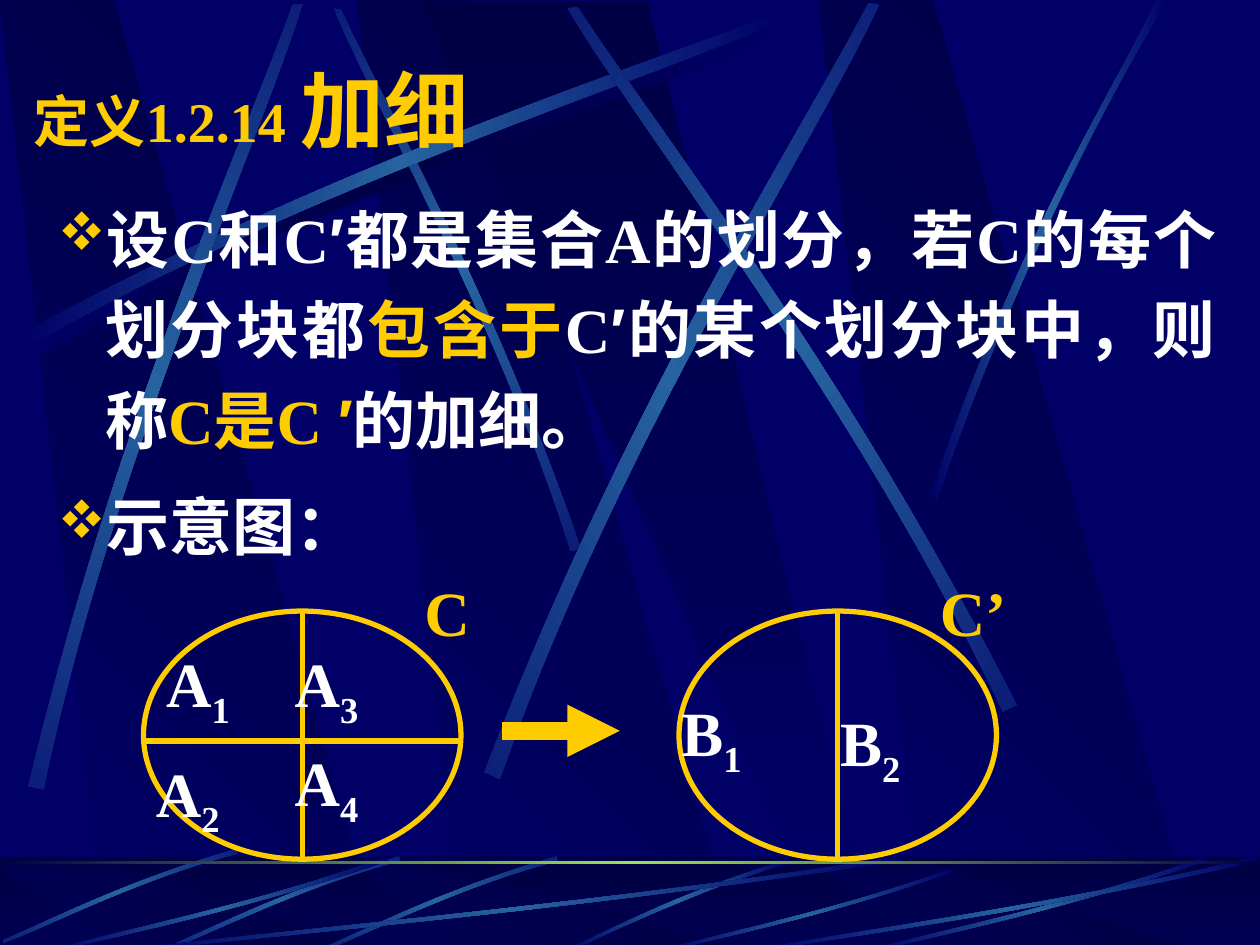
from pptx import Presentation
from pptx.dml.color import RGBColor as Rgb
from pptx.enum.shapes import MSO_CONNECTOR as Link, MSO_SHAPE as Preset
from pptx.enum.text import MSO_ANCHOR as Anchor, PP_ALIGN as Align
from pptx.oxml import parse_xml
from pptx.oxml.ns import nsdecls, qn
from pptx.util import Pt

COLORS = {"navy": "000066", "dark": "000044", "steel": "2663A0",
          "lime": "9CE157", "gold": "FFCC00", "white": "FFFFFF"}
SERIF, SANS = "Times New Roman", "Arial"

# Outlines as fractions of their box
BAND = [(0.28, 1), (1, 1), (0.3, 0), (0, 0)]
WEDGE = [(0, 0), (0.9, 1), (1, 1), (0.5, 0)]
# Each streak is two Bezier edges of four points
STREAK = [(0, 0.96), (0.43, 0.43), (0.83, 0.15), (0.99, 0),
          (1, 0.02), (0.84, 0.19), (0.39, 0.5), (0.01, 1)]
TALL_STREAK = [(0, 0.99), (0.4, 0.44), (0.79, 0.17), (0.95, 0),
               (1, 0), (0.52, 0.37), (0.16, 0.81), (0.03, 1)]
SHORT_STREAK = [(0.99, 0), (0.49, 0.37), (0.16, 0.82), (0, 0.99),
                (0.03, 1), (0.23, 0.75), (0.68, 0.25), (1, 0.04)]

GLOW = ("navy", "steel", "navy")
SHADE = ("navy", "dark", "navy")


class Painter:
    """Holds the style and the current slide."""

    def __init__(self, page):
        self.page = page
        self.shapes = page.shapes
        self.font = {"name": SERIF, "size": Pt(36), "bold": True}

    def color(self, name):
        return Rgb.from_string(COLORS[name])

    def gradient(self, shape, names, angle):
        shape.shadow.inherit = False
        shape.line.fill.background()
        last = len(names) - 1
        stops = "".join(
            f'<a:gs pos="{100000 * i // last}"><a:srgbClr val="{COLORS[name]}"/></a:gs>'
            for i, name in enumerate(names))
        fill = parse_xml(
            f'<a:gradFill {nsdecls("a")} rotWithShape="1"><a:gsLst>{stops}</a:gsLst>'
            f'<a:lin ang="{angle * 60000}" scaled="1"/></a:gradFill>')
        geometry = shape.element.spPr.find(qn("a:custGeom"))
        if geometry is None:
            geometry = shape.element.spPr.find(qn("a:prstGeom"))
        geometry.addnext(fill)

    def outline(self, points, box, names, angle):
        left, top, width, height = box
        spots = [(Pt(left + u * width), Pt(top + v * height)) for u, v in points]
        builder = self.shapes.build_freeform(*spots[0], scale=1.0)
        builder.add_line_segments(spots[1:], close=True)
        shape = builder.convert_to_shape()
        self.gradient(shape, names, angle)
        return shape

    def streak(self, box, points=STREAK, names=GLOW, turn=0, flip_x=False, flip_y=False):
        flipped = [(1 - u if flip_x else u, 1 - v if flip_y else v) for u, v in points]
        shape = self.outline(flipped, box, names, 0)
        shape.rotation = turn
        # Turn the three segments of each edge into one curve
        segments = list(shape.element.iter(qn("a:lnTo")))
        for edge in (segments[0:3], segments[4:7]):
            curve = parse_xml(f'<a:cubicBezTo {nsdecls("a")}/>')
            edge[0].addprevious(curve)
            for segment in edge:
                curve.append(segment[0])
                segment.getparent().remove(segment)

    def bands(self, top, height):
        for left in (204, 0, 468):
            self.outline(BAND, (left, top, 217.4, height), ("navy", "dark"), 315)
        self.outline(WEDGE, (240, top, 260, height), ("dark", "navy"), 90)

    def bar(self, box, names, angle):
        shape = self.shapes.add_shape(Preset.RECTANGLE, *map(Pt, box))
        self.gradient(shape, names, angle)

    def veil(self, box, name, alpha):
        shape = self.shapes.add_shape(Preset.RECTANGLE, *map(Pt, box))
        shape.shadow.inherit = False
        shape.line.fill.background()
        shape.fill.solid()
        shape.fill.fore_color.rgb = self.color(name)
        tint = shape.element.spPr.find(".//" + qn("a:srgbClr"))
        tint.append(parse_xml(f'<a:alpha {nsdecls("a")} val="{alpha * 1000}"/>'))

    def ellipse(self, box):
        shape = self.shapes.add_shape(Preset.OVAL, *map(Pt, box))
        shape.shadow.inherit = False
        shape.fill.background()
        shape.line.color.rgb = self.color("gold")
        shape.line.width = Pt(3)

    def line(self, ends, width=3, arrow=False):
        link = self.shapes.add_connector(Link.STRAIGHT, *map(Pt, ends))
        link.line.color.rgb = self.color("gold")
        link.line.width = Pt(width)
        if arrow:
            link.element.spPr.find(qn("a:ln")).append(
                parse_xml(f'<a:tailEnd {nsdecls("a")} type="triangle"/>'))
        link.element.spPr.append(parse_xml(f'<a:effectLst {nsdecls("a")}/>'))

    def text(self, box, paragraphs, para_format, anchor=Anchor.TOP, bullet=False):
        """Each paragraph is a list of (text, color, font changes)."""
        frame = self.shapes.add_textbox(*map(Pt, box)).text_frame
        frame.word_wrap = True
        frame.vertical_anchor = anchor
        for index, spans in enumerate(paragraphs):
            para = frame.add_paragraph() if index else frame.paragraphs[0]
            if bullet:
                self.bullet(para)
            for key, value in para_format.items():
                if index or key != "space_before":
                    setattr(para, key, value)
            for words, color, changes in spans:
                span = para.add_run()
                span.text = words
                span.font.color.rgb = self.color(color)
                for key, value in (self.font | changes).items():
                    if key == "baseline":
                        span.font._element.set(key, value)
                    else:
                        setattr(span.font, key, value)

    def bullet(self, para):
        props = para._p.get_or_add_pPr()
        for key, value in {"marL": Pt(35), "indent": -Pt(27), "hangingPunct": 0}.items():
            props.set(key, str(value))
        for tag in (f'<a:buClr {{}}><a:srgbClr val="{COLORS["gold"]}"/></a:buClr>',
                    '<a:buSzPct {} val="85000"/>',
                    '<a:buFont {} typeface="Wingdings" charset="2"/>',
                    '<a:buChar {} char="v"/>'):
            props.append(parse_xml(tag.format(nsdecls("a"))))


def main():
    deck = Presentation()
    deck.slide_width, deck.slide_height = Pt(720), Pt(540)
    page = deck.slides.add_slide(deck.slide_layouts[6])
    painter = Painter(page)
    page.background.fill.solid()
    page.background.fill.fore_color.rgb = painter.color("navy")

    # Backdrop: wide bands and light streaks
    painter.bands(0.5, 541)
    painter.streak((14.4, 13, 438, 192), names=SHADE)
    painter.streak((101.5, 97.2, 318, 126), turn=45, flip_x=True)
    painter.streak((10, 7.2, 438, 192))
    painter.streak((-123, 131, 438, 192), turn=311.7)
    painter.streak((166.3, 115.2, 449.3, 216.7), turn=321.6)
    painter.streak((232.6, 109.4, 438, 192), turn=34.8, flip_x=True)
    painter.streak((531.4, 0, 136, 286), TALL_STREAK)

    # Floor with its own bands and streaks
    floor = (0, 489.6, 720, 54)
    painter.bar(floor, ("dark", "navy"), 90)
    painter.bands(495.4, 47.8)
    painter.veil(floor, "dark", 50)
    painter.streak((322.6, 491, 129.6, 52.6), SHORT_STREAK)
    for left, top in ((185.8, 486.7), (95.8, 486.7), (2.9, 482.4)):
        painter.streak((left, top, 132, 60), turn=314.9, flip_x=True)
    for left, top, width in ((72, 489.6, 444), (30.2, 489.6, 192), (379.4, 496, 166.3),
                             (498, 489.6, 192), (432, 489.6, 288)):
        painter.streak((left, top, width, 543.6 - top), flip_x=True, flip_y=True)
    painter.bar((0, 492.3, 720, 1.75), ("dark", "lime", "dark"), 0)

    # Title
    painter.text((12.2, 29.8, 684, 64.8),
                 [[("定义1.2.14 ", "gold", {"size": Pt(32)}),
                   ("加细", "gold", {"size": Pt(48)})]], {}, Anchor.MIDDLE)

    # Definition
    prime = {"name": SANS}
    painter.text((18, 102.2, 684, 401.8), [
        [("设C和C", "white", {}), ("′", "white", prime),
         ("都是集合A的划分，若C的每个划分块都", "white", {}),
         ("包含于", "gold", {}), ("C", "white", {}), ("′", "white", prime),
         ("的某个划分块中，则称", "white", {}), ("C是C ", "gold", {}),
         ("′", "gold", prime), ("的加细。", "white", {})],
        [("示意图：", "white", {})],
    ], {"alignment": Align.JUSTIFY, "line_spacing": 1.2, "space_before": Pt(9)}, bullet=True)

    # Diagram: two partitions and the arrow between them
    top, width, height = 349.2, 181.4, 141.8
    for left in (82, 388):
        middle = left + width / 2
        painter.ellipse((left, top, width, height))
        painter.line((middle, top, middle, top + height))
    painter.line((82, 423.4, 82 + width, 423.4))
    painter.line((286.6, 417.6, 354.2, 417.6), width=10, arrow=True)

    # Diagram labels
    spacing = {"line_spacing": 1.2}
    for name, left, box_width in (("C", 235.4, 67.7), ("C’", 530, 90.7)):
        painter.text((left, 315.4, box_width, 59), [[(name, "gold", {})]], spacing)
    for letter, number, left, label_top in (
            ("A", "1", 87.8, 355), ("A", "2", 82, 417.6), ("A", "3", 161.3, 355),
            ("A", "4", 161.3, 411.8), ("B", "1", 382.3, 383), ("B", "2", 473, 388.8)):
        painter.text((left, label_top, 102.2, 66.2),
                     [[(letter, "white", {}), (number, "white", {"baseline": "-25000"})]],
                     spacing)

    deck.save("out.pptx")


if __name__ == "__main__":
    main()
